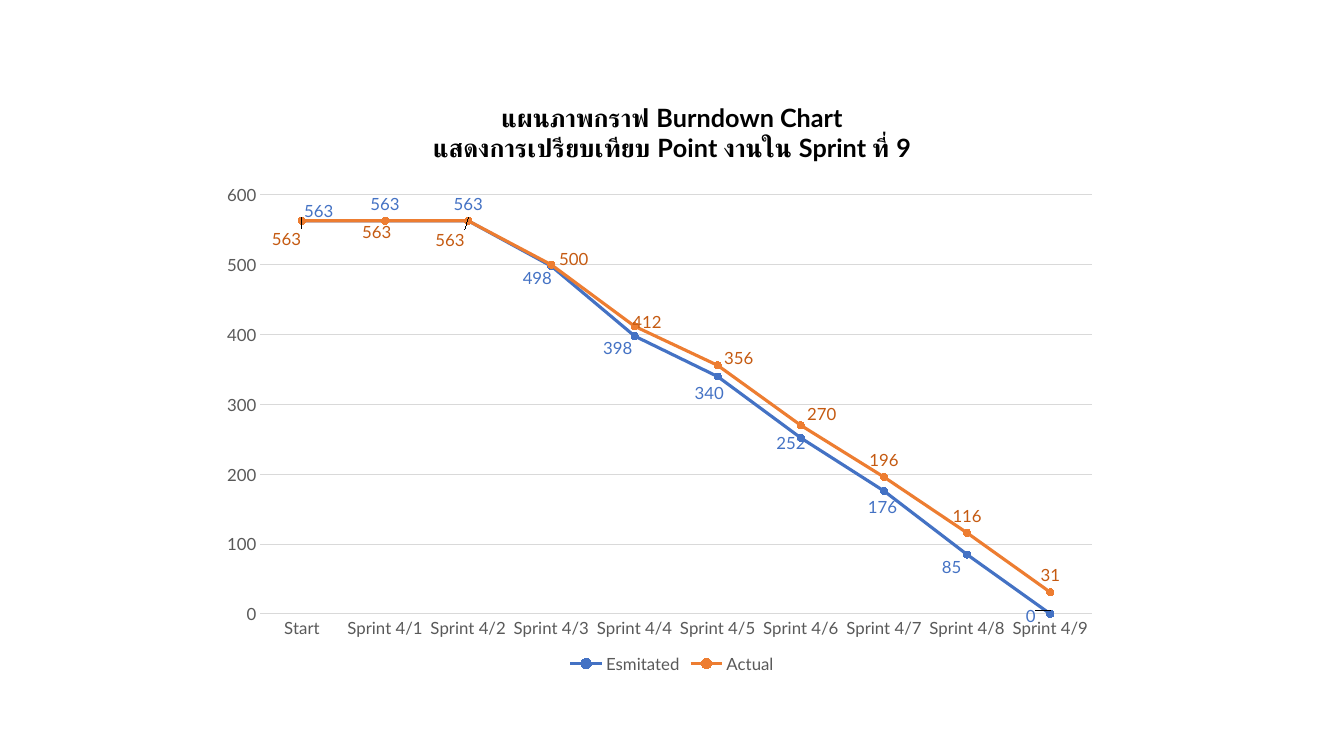
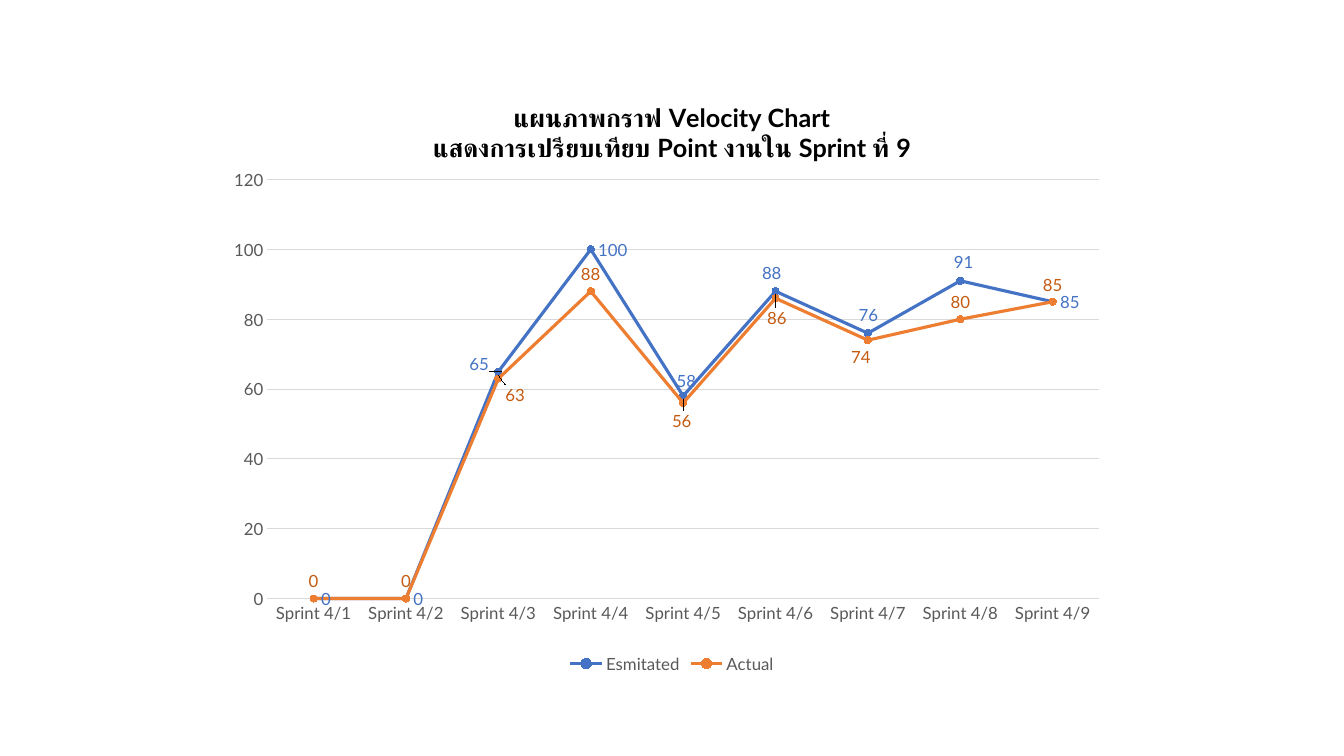
from lxml import etree
from pptx import Presentation
from pptx.chart.data import CategoryChartData as Data
from pptx.dml.color import RGBColor
from pptx.enum.chart import XL_CHART_TYPE as Kind
from pptx.enum.chart import XL_LABEL_POSITION as Pos
from pptx.enum.chart import XL_LEGEND_POSITION as Side
from pptx.enum.chart import XL_MARKER_STYLE as Mark
from pptx.enum.chart import XL_TICK_MARK as Tick
from pptx.oxml.ns import qn
from pptx.util import Pt

BLACK = RGBColor(0x00, 0x00, 0x00)
GREY = RGBColor(0x59, 0x59, 0x59)
RULE = RGBColor(0xD9, 0xD9, 0xD9)
BLUE = RGBColor(0x44, 0x72, 0xC4)
ORANGE = RGBColor(0xED, 0x7D, 0x31)
RUST = RGBColor(0xC5, 0x5A, 0x11)
FONT = "Lato"

LEFT, TOP, WIDE, HIGH = 160, 57, 640, 427
SPRINTS = [f"Sprint 4/{n}" for n in range(1, 10)]
LINE_TWO = "แสดงการเปรียบเทียบ Point งานใน Sprint ที่ 9"
STYLES = [("Esmitated", BLUE, BLUE), ("Actual", ORANGE, RUST)]

# Content; "moves" shifts single labels by (x, y) points
SLIDES = [
    {
        "title": "แผนภาพกราฟ Burndown Chart",
        "cats": ["Start"] + SPRINTS,
        "top": 600, "step": 100,
        "plot": (26, 82.3, 594, 299.3),
        "series": [
            {"vals": [563, 563, 563, 498, 398, 340, 252, 176, 85, 0],
             "pos": Pos.ABOVE, "format": "General",
             "moves": {0: (12, 5), 3: (-10, 21), 4: (-12, 21), 5: (-6, 24),
                       6: (-7, 16), 7: (-1, 24), 8: (-11, 21), 9: (-14, 14)}},
            {"vals": [563, 563, 563, 500, 412, 356, 270, 196, 116, 31],
             "pos": Pos.ABOVE, "format": "#,##0",
             "moves": {0: (-11, 25), 1: (-6, 20), 2: (-13, 26), 3: (16, 8),
                       4: (9, 9), 5: (15, 7), 6: (15, 4)}},
        ],
    },
    {
        "title": "แผนภาพกราฟ Velocity Chart",
        "cats": SPRINTS,
        "top": 120, "step": 20,
        "plot": (31, 71.3, 594, 299.3),
        "series": [
            {"vals": [0, 0, 65, 100, 58, 88, 76, 91, 85],
             "pos": Pos.RIGHT, "format": "General",
             "moves": {2: (-26, -6), 4: (-10, -11), 5: (-15, -13),
                       6: (-12, -13), 7: (-10, -14)}},
            {"vals": [0, 0, 63, 88, 56, 86, 74, 80, 85],
             "pos": Pos.ABOVE, "format": "General",
             "moves": {2: (12, 24), 4: (-1, 25), 5: (1, 26), 6: (-5, 24)}},
        ],
    },
]


def style(font, size, color, bold=False):
    font.name, font.size, font.bold = FONT, Pt(size), bold
    font.color.rgb = color


def place(host, index, parts):
    """Give a chart part a manual layout, from lengths in points."""
    for old in host.findall(qn("c:layout")):
        host.remove(old)
    layout = etree.Element(qn("c:layout"))
    manual = etree.SubElement(layout, qn("c:manualLayout"))
    for tag, val in parts:
        etree.SubElement(manual, qn("c:" + tag)).set("val", str(val))
    host.insert(index, layout)


def set_plot(chart, box):
    x, y, w, h = box
    area = chart.plots[0]._element.getparent()
    place(area, 0, [("layoutTarget", "inner"), ("xMode", "edge"),
                    ("yMode", "edge"), ("x", x / WIDE), ("y", y / HIGH),
                    ("w", w / WIDE), ("h", h / HIGH)])


def set_title(chart, lines):
    chart.has_title = True
    frame = chart.chart_title.text_frame
    frame.text = "\n".join(lines)
    for para in frame.paragraphs:
        for run in para.runs:
            style(run.font, 18, BLACK, True)


def set_axes(chart, top, step):
    cat, val = chart.category_axis, chart.value_axis
    for axis in (cat, val):
        axis.major_tick_mark = axis.minor_tick_mark = Tick.NONE
        style(axis.tick_labels.font, 12, GREY)
    val.minimum_scale, val.maximum_scale, val.major_unit = 0, top, step
    val.has_major_gridlines = True
    for line in (cat.format.line, val.major_gridlines.format.line):
        line.color.rgb, line.width = RULE, Pt(0.75)
    val.format.line.fill.background()


def set_series(series, item, color, ink):
    series.smooth = False
    series.format.line.color.rgb = color
    series.format.line.width = Pt(2.25)
    mark = series.marker
    mark.style, mark.size = Mark.CIRCLE, 5
    mark.format.fill.solid()
    mark.format.fill.fore_color.rgb = color
    mark.format.line.color.rgb = color

    # Value labels, some of them shifted
    labels = series.data_labels
    labels.show_value, labels.position = True, item["pos"]
    labels.number_format = item["format"]
    labels.number_format_is_linked = False
    style(labels.font, 12, ink)
    for i, (x, y) in item["moves"].items():
        label = series.points[i].data_label
        style(label.font, 12, ink)
        label.position = item["pos"]
        node = series._element.xpath(f'c:dLbls/c:dLbl[c:idx/@val="{i}"]')[0]
        place(node, 1, [("x", x / WIDE), ("y", y / HIGH)])


def add_slide(deck, page):
    slide = deck.slides.add_slide(deck.slide_layouts[6])
    data = Data()
    data.categories = page["cats"]
    for (name, _, _), item in zip(STYLES, page["series"]):
        data.add_series(name, item["vals"])
    chart = slide.shapes.add_chart(Kind.LINE_MARKERS, Pt(LEFT), Pt(TOP),
                                   Pt(WIDE), Pt(HIGH), data).chart
    style(chart.font, 10, BLACK)
    set_title(chart, [page["title"], LINE_TWO])
    set_axes(chart, page["top"], page["step"])
    set_plot(chart, page["plot"])
    chart.has_legend = True
    chart.legend.position = Side.BOTTOM
    chart.legend.include_in_layout = False
    style(chart.legend.font, 12, GREY)
    plot = chart.plots[0]
    plot.vary_by_categories = False
    for series, item, (_, color, ink) in zip(plot.series, page["series"], STYLES):
        set_series(series, item, color, ink)


def main():
    deck = Presentation()
    deck.slide_width, deck.slide_height = Pt(960), Pt(540)
    for page in SLIDES:
        add_slide(deck, page)
    deck.save("out.pptx")


if __name__ == "__main__":
    main()
